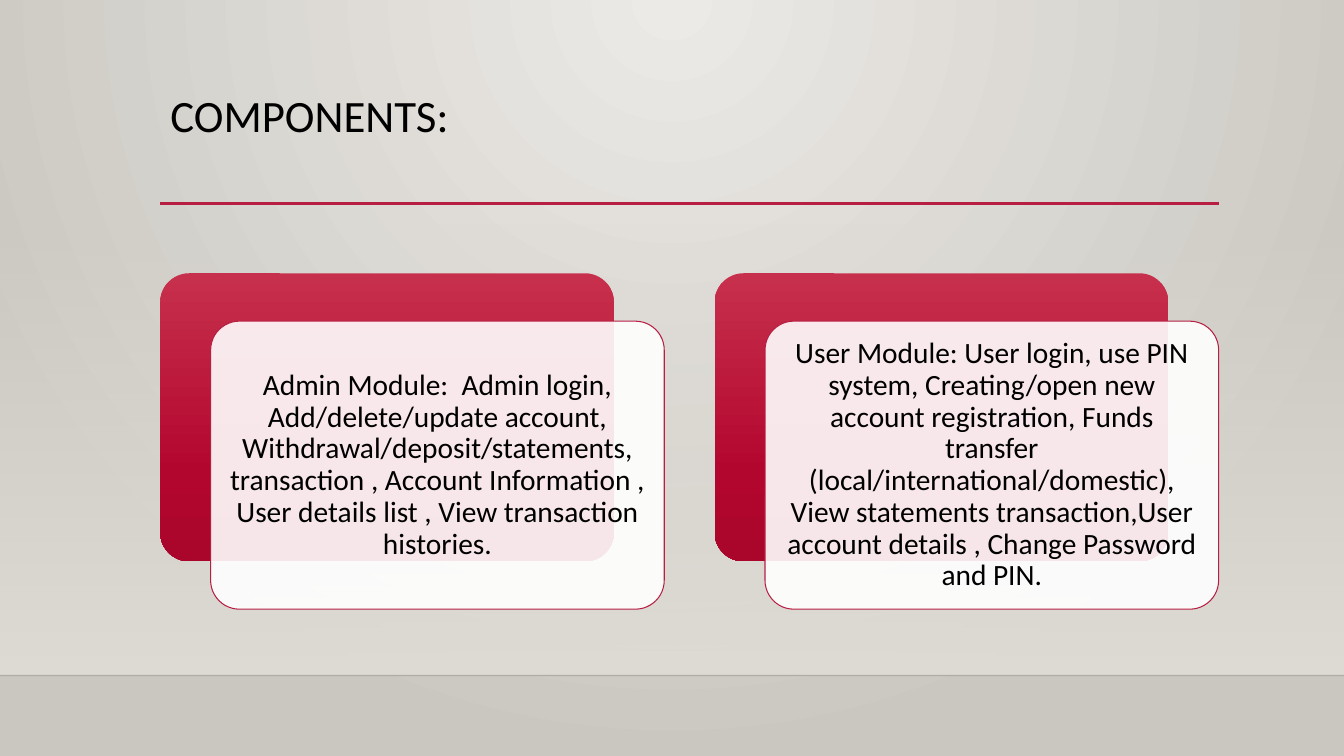
from lxml import etree
from pptx import Presentation
from pptx.dml.color import RGBColor
from pptx.enum import shapes, text
from pptx.oxml import ns
from pptx.util import Pt

COLORS = {
    "center": "ECEAE7", "edge": "CAC7C1", "wall": "DFDBD5", "floor": "000001",
    "accent": "B71E42", "light": "C7304C", "middle": "B3062F", "dark": "AA062C",
    "card": "FFFFFF", "text": "000000",
}
DOWN = '<a:lin ang="5400000" scaled="0"/>'
FROM_TOP = '<a:path path="circle"><a:fillToRect l="43000" t="0" r="43000" b="100000"/></a:path>'


def set_gradient(element, stops, direction):
    stop_xml = "".join(
        f'<a:gs pos="{position * 1000}"><a:srgbClr val="{COLORS[name]}">'
        f'<a:alpha val="{alpha * 1000}"/></a:srgbClr></a:gs>'
        for position, name, alpha in stops)
    gradient = etree.fromstring(
        f'<a:gradFill {ns.nsdecls("a")} rotWithShape="1">'
        f"<a:gsLst>{stop_xml}</a:gsLst>{direction}</a:gradFill>")
    current = element.find(".//" + ns.qn("a:gradFill"))
    current.getparent().replace(current, gradient)


def set_alpha(element, percent):
    color = element.find(".//" + ns.qn("a:srgbClr"))
    etree.SubElement(color, ns.qn("a:alpha"), val=str(percent * 1000))


presentation = Presentation()
presentation.slide_width = Pt(960)
presentation.slide_height = Pt(540)
slide = presentation.slides.add_slide(presentation.slide_layouts[5])

slide.background.fill.gradient()
set_gradient(slide.element, [(0, "center", 100), (100, "edge", 100)], FROM_TOP)

wall = slide.shapes.add_shape(
    shapes.MSO_SHAPE.RECTANGLE, Pt(0), Pt(159), Pt(960), Pt(323.5))
wall.shadow.inherit = False
wall.line.fill.background()
wall.fill.gradient()
set_gradient(wall.element, [(0, "wall", 0), (100, "wall", 100)], DOWN)

for left, right, top, color, width, opacity in [
    (0, 960, 482.5, "floor", 1, 20),
    (114.5, 871, 145.3, "accent", 2.5, 100),
]:
    rule = slide.shapes.add_connector(
        shapes.MSO_CONNECTOR.STRAIGHT, Pt(left), Pt(top), Pt(right), Pt(top))
    rule.line.color.rgb = RGBColor.from_string(COLORS[color])
    rule.line.width = Pt(width)
    set_alpha(rule.element, opacity)
    etree.SubElement(rule.element.spPr, ns.qn("a:effectLst"))

title = slide.shapes.title
title.left, title.top, title.width, title.height = Pt(114.5), Pt(63.5), Pt(756), Pt(82.5)
title.text_frame.text = "COMPONENTS:"
title.text_frame.auto_size = text.MSO_AUTO_SIZE.NONE
title.text_frame.vertical_anchor = text.MSO_ANCHOR.TOP
heading = title.text_frame.paragraphs[0]
heading.alignment = text.PP_ALIGN.LEFT
heading.line_spacing = 0.9
heading.font.name = "Calibri"
heading.font.size = Pt(32)
heading.font.color.rgb = RGBColor.from_string(COLORS["text"])

modules = [
    "Admin Module:  Admin login, Add/delete/update account, "
    "Withdrawal/deposit/statements, transaction , Account Information , "
    "User details list , View transaction histories.",
    "User Module: User login, use PIN system, Creating/open new account registration, "
    "Funds transfer (local/international/domestic), View statements transaction,"
    "User account details , Change Password and PIN.",
]
for index, description in enumerate(modules):
    left = 114.5 + index * 396
    panel, card = [
        slide.shapes.add_shape(
            shapes.MSO_SHAPE.ROUNDED_RECTANGLE, Pt(x), Pt(y), Pt(324), Pt(205.7))
        for x, y in [(left, 195.2), (left + 36, 229.4)]]
    for shape in (panel, card):
        shape.adjustments[0] = 0.1
        shape.shadow.inherit = False

    panel.line.fill.background()
    panel.fill.gradient()
    set_gradient(
        panel.element, [(0, "light", 100), (69, "middle", 100), (100, "dark", 100)], DOWN)

    card.fill.solid()
    card.fill.fore_color.rgb = RGBColor.from_string(COLORS["card"])
    set_alpha(card.element, 90)
    card.line.color.rgb = RGBColor.from_string(COLORS["accent"])
    card.line.width = Pt(0.75)

    frame = card.text_frame
    frame.word_wrap = True
    frame.vertical_anchor = text.MSO_ANCHOR.MIDDLE
    frame.margin_left = frame.margin_right = frame.margin_top = frame.margin_bottom = Pt(6.3)
    frame.text = description
    paragraph = frame.paragraphs[0]
    paragraph.alignment = text.PP_ALIGN.CENTER
    paragraph.line_spacing = 0.9
    paragraph.font.name = "Calibri"
    paragraph.font.size = Pt(21)
    paragraph.font.color.rgb = RGBColor.from_string(COLORS["text"])

presentation.save("out.pptx")
